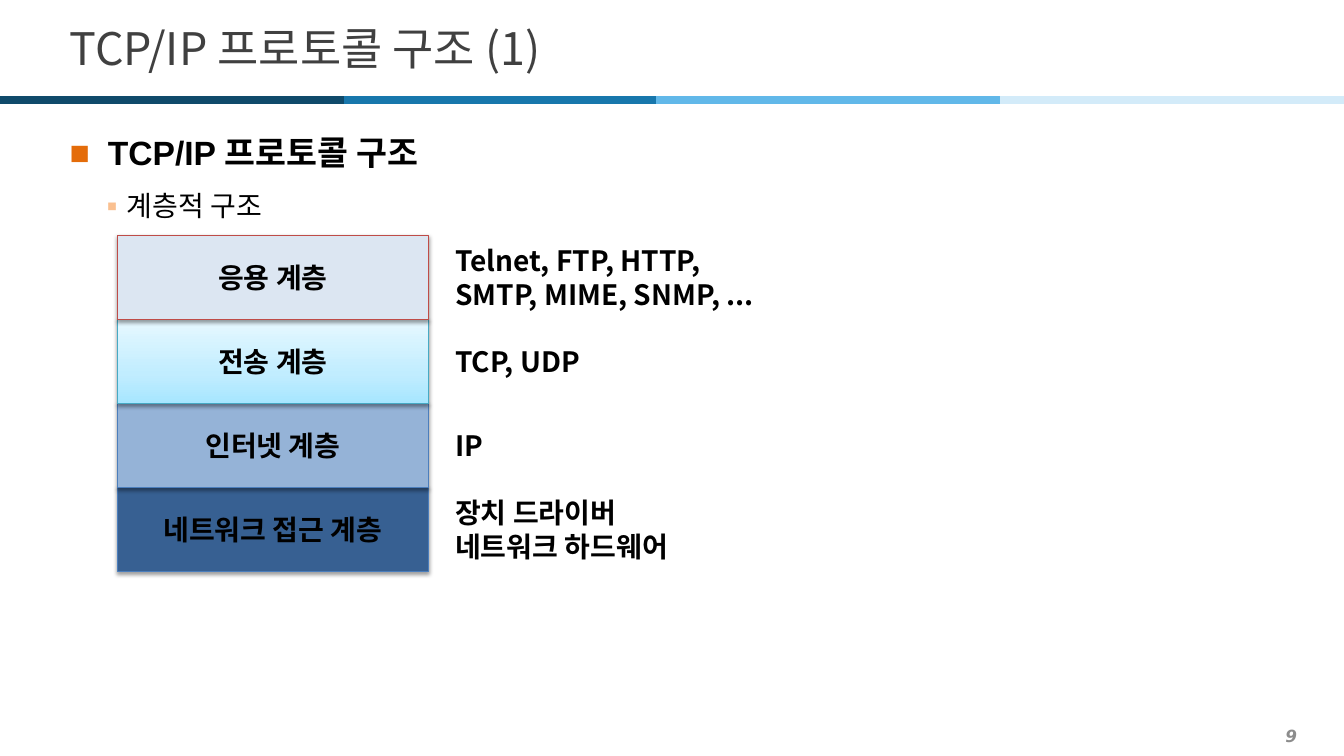
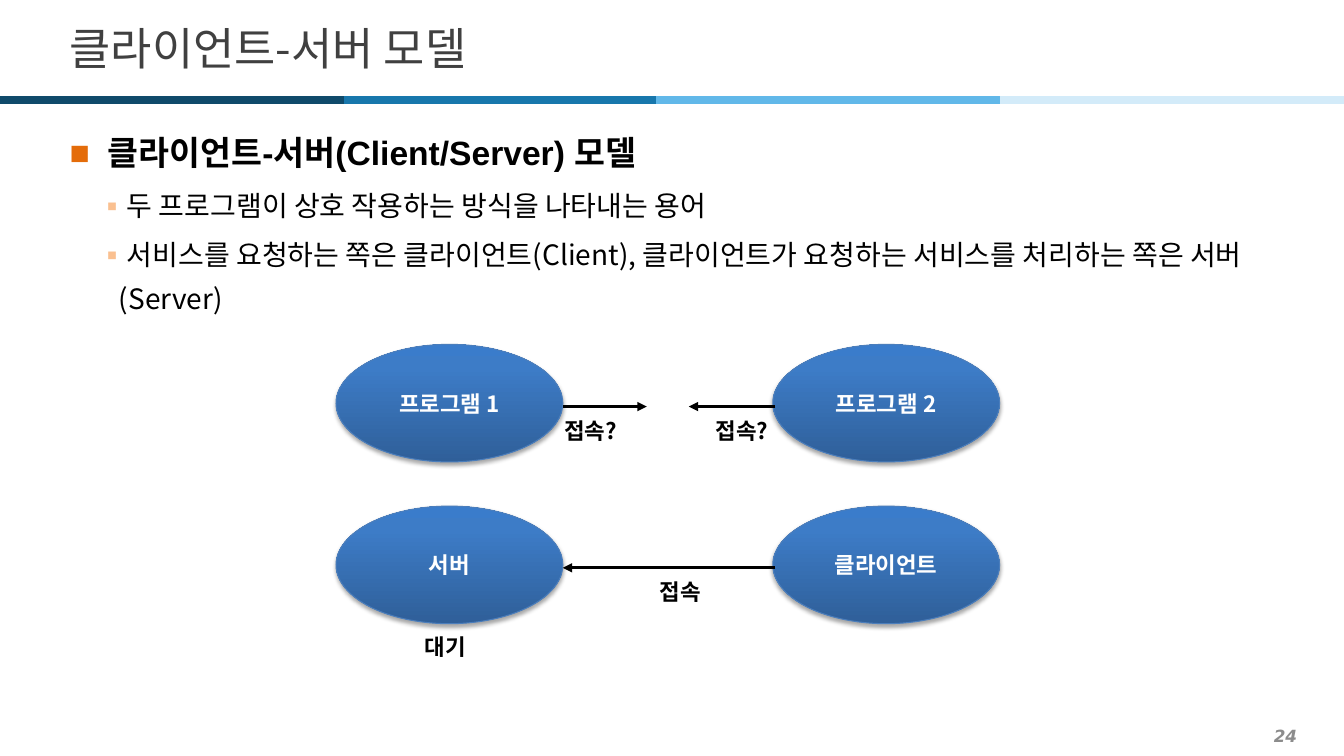
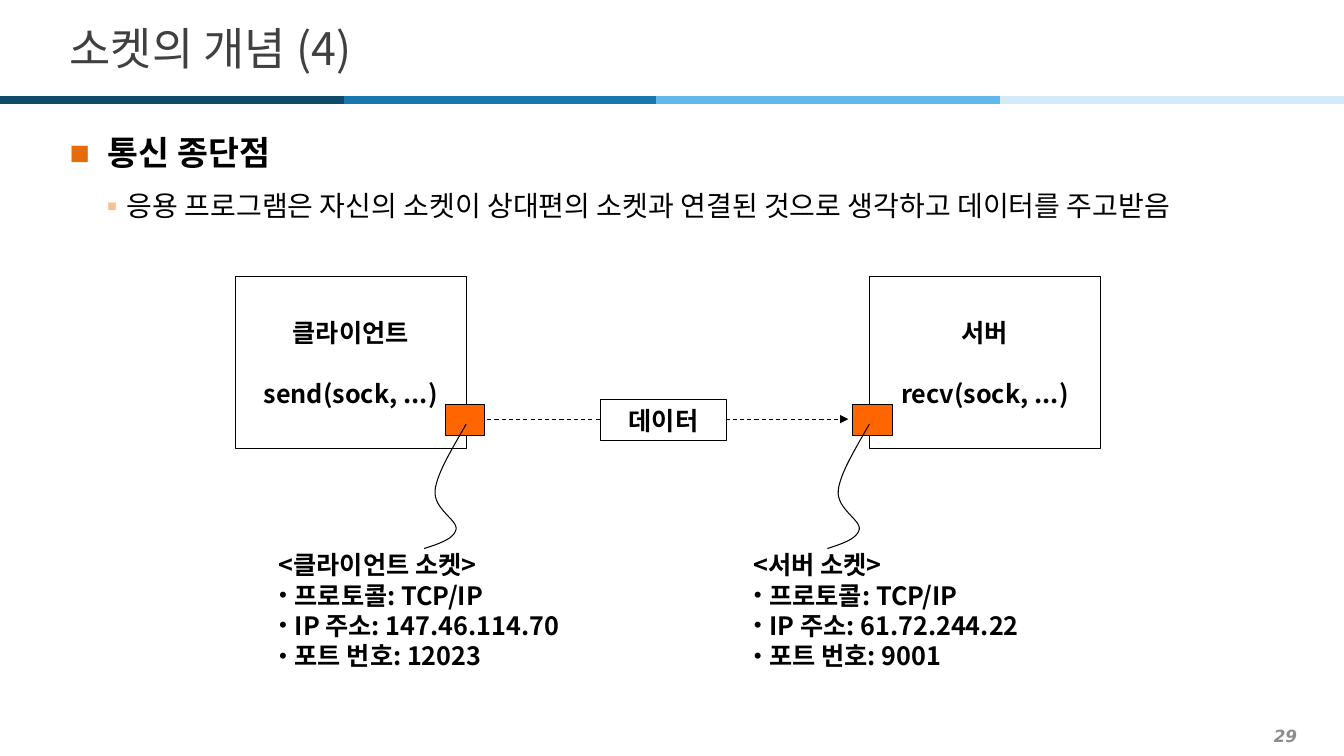
from dataclasses import dataclass
from lxml.etree import SubElement
from pptx import Presentation
from pptx.dml.color import RGBColor as RGB
from pptx.enum.dml import MSO_LINE
from pptx.enum.shapes import MSO_CONNECTOR, MSO_SHAPE
from pptx.enum.text import MSO_ANCHOR as ANCHOR, PP_ALIGN as ALIGN
from pptx.oxml.ns import qn
from pptx.util import Inches, Pt

COLS, ROWS = 160, 90
CELL = Inches(1) / 12


@dataclass(frozen=True)
class Theme:
    font: str = "Noto Sans CJK KR"
    head_font: str = "Arial"
    page_font: str = "DejaVu Sans"
    dot_font: str = "Times New Roman"
    title: int = 32
    head: int = 24
    body: int = 20
    label: int = 18
    small: int = 16
    page: int = 12
    ink: str = "000000"
    paper: str = "FFFFFF"
    title_ink: str = "404040"
    page_ink: str = "8C8C8C"
    edge: str = "4B7EBC"
    socket: str = "FF6600"
    head_bullet: str = "E46C0A"
    item_bullet: str = "FAC090"
    bands: tuple = ("0F4A6B", "1877AC", "61B8E9", "D3EBF9")
    sky: tuple = ((0, "A7E6FF"), (35, "C1EDFF"), (100, "E7F8FF"))
    globe: tuple = ((0, "2F5F99"), (80, "3D7CC7"), (100, "3A7CCB"))


T = Theme()


def cells(*values):
    return [round(v * CELL) for v in values]


def child(parent, tag, **attrs):
    return SubElement(parent, qn(tag), {k: str(v) for k, v in attrs.items()})


def add_bullet(p, char, color, font, indent):
    pPr = p._p.get_or_add_pPr()
    pPr.set("marL", str(Inches(indent[0])))
    pPr.set("indent", str(Inches(indent[1])))
    child(child(pPr, "a:buClr"), "a:srgbClr", val=color)
    child(pPr, "a:buFont", typeface=font)
    child(pPr, "a:buChar", char=char)


def write(tf, *lines, size=T.body, color=T.ink, font=T.font, bold=True, italic=False,
          align=ALIGN.LEFT, spacing=None, before=0, after=0, bullet=None):
    for line in lines:
        p = tf.add_paragraph() if tf.text else tf.paragraphs[0]
        p.alignment = align
        p.line_spacing = spacing
        p.space_before, p.space_after = Pt(before), Pt(after)
        if bullet:
            add_bullet(p, *bullet)
        r = p.add_run()
        r.text = line
        f = r.font
        f.name, f.size, f.bold, f.italic = font, Pt(size), bold, italic
        f.color.rgb = RGB.from_string(color)
        child(r._r.get_or_add_rPr(), "a:ea", typeface=T.font)


def add_text(s, box, *lines, anchor=ANCHOR.MIDDLE, **fmt):
    tf = s.shapes.add_textbox(*cells(*box)).text_frame
    tf.word_wrap = True
    tf.vertical_anchor = anchor
    write(tf, *lines, **fmt)
    return tf


def paint(sp, fill):
    if fill is None:
        sp.fill.background()
    elif isinstance(fill, str):
        sp.fill.solid()
        sp.fill.fore_color.rgb = RGB.from_string(fill)
    else:
        sp.fill.gradient()
        sp.fill.gradient_angle = 90
        stops = sp._element.spPr.find(qn("a:gradFill")).find(qn("a:gsLst"))
        stops.clear()
        for pos, color in fill:
            child(child(stops, "a:gs", pos=pos * 1000), "a:srgbClr", val=color)


def outline(line, color, width):
    line.color.rgb = RGB.from_string(color)
    line.width = Pt(width)


def add_shadow(sp, alpha, dist):
    effects = sp._element.spPr.find(qn("a:effectLst"))
    shadow = child(effects, "a:outerShdw", blurRad=Pt(3.1), dist=Pt(dist),
                   dir=5400000, rotWithShape=0)
    color = child(shadow, "a:srgbClr", val=T.ink)
    child(color, "a:alpha", val=alpha * 1000)


def add_box(s, box, *lines, kind=MSO_SHAPE.RECTANGLE, fill=None, edge=T.ink,
            shadow=None, **fmt):
    sp = s.shapes.add_shape(kind, *cells(*box))
    sp.shadow.inherit = False
    paint(sp, fill)
    outline(sp.line, edge, 0.75)
    if shadow:
        add_shadow(sp, *shadow)
    tf = sp.text_frame
    tf.vertical_anchor = ANCHOR.MIDDLE
    write(tf, *lines, align=ALIGN.CENTER, **fmt)
    return tf


def add_line(s, x1, x2, y, color=T.ink, width=0.75, arrow=False, dash=None):
    c = s.shapes.add_connector(MSO_CONNECTOR.STRAIGHT, *cells(x1, y, x2, y))
    outline(c.line, color, width)
    if dash:
        c.line.dash_style = dash
    if arrow:
        child(c.line._get_or_add_ln(), "a:tailEnd", type="triangle")
    child(c._element.spPr, "a:effectLst")


def bezier(p0, p1, p2, p3, steps=16):
    for i in range(1, steps + 1):
        t = i / steps
        u = 1 - t
        yield tuple(u**3 * a + 3 * u * u * t * b + 3 * u * t * t * c + t**3 * d
                    for a, b, c, d in zip(p0, p1, p2, p3))


def add_tail(s, x, y):
    knots = [(0, 0), (-1.7, 3), (-3.5, 5.9), (-3.7, 7.9), (-3.9, 10.1),
             (-1, 11.4), (-1.2, 12.5), (-1.4, 13.6), (-3.1, 14.2), (-5, 14.8)]
    knots = [(x + dx, y + dy) for dx, dy in knots]
    points = [pt for i in (0, 3, 6) for pt in bezier(*knots[i:i + 4])]
    fb = s.shapes.build_freeform(*cells(*knots[0]))
    fb.add_line_segments([cells(*pt) for pt in points], close=False)
    sp = fb.convert_to_shape()
    sp.shadow.inherit = False
    sp.fill.background()
    outline(sp.line, T.ink, 0.75)


def add_page(prs, number, title, head, *items):
    s = prs.slides.add_slide(prs.slide_layouts[6])
    edges = (0, 40.9, 78.1, 119, COLS)
    for color, x1, x2 in zip(T.bands, edges, edges[1:]):
        add_line(s, x1, x2, 11.9, color, 6)
    add_text(s, (2.4, 85.7, 153.2, 3.7), str(number), size=T.page, color=T.page_ink,
             font=T.page_font, italic=True, align=ALIGN.RIGHT)
    add_text(s, (7.1, 1.6, 146.5, 8.2), title, size=T.title, color=T.title_ink, bold=False)
    tf = add_text(s, (7.1, 14.2, 146.5, 72.4), head, anchor=ANCHOR.TOP, size=T.head,
                  font=T.head_font, spacing=1.2, after=2,
                  bullet=("■", T.head_bullet, T.head_font, (0.38, -0.38)))
    write(tf, *items, bold=False, spacing=1.3, before=2, after=2,
          bullet=("▪", T.item_bullet, T.font, (0.49, -0.2)))
    return s


def layers_slide(prs):
    s = add_page(prs, 9, "TCP/IP 프로토콜 구조 (1)", "TCP/IP 프로토콜 구조", "계층적 구조")
    layers = [
        ("응용 계층", "DCE6F2", "BF4C48", ["Telnet, FTP, HTTP,", "SMTP, MIME, SNMP, ..."]),
        ("전송 계층", T.sky, "46AAC5", ["TCP, UDP"]),
        ("인터넷 계층", "95B3D7", T.edge, ["IP"]),
        ("네트워크 접근 계층", "376092", T.edge, ["장치 드라이버", "네트워크 하드웨어"]),
    ]
    for i, (name, fill, edge, examples) in reversed(list(enumerate(layers))):
        y = 28 + 10 * i
        add_box(s, (14, y, 37, 10), name, fill=fill, edge=edge, shadow=(38, 1.6))
        add_text(s, (53, y, 40, 10), *examples)


def model_slide(prs):
    s = add_page(prs, 24, "클라이언트-서버 모델", "클라이언트-서버(Client/Server) 모델",
                 "두 프로그램이 상호 작용하는 방식을 나타내는 용어",
                 "서비스를 요청하는 쪽은 클라이언트(Client), 클라이언트가 요청하는 서비스를 처리하는 쪽은 서버(Server)")
    pairs = [(41, ("프로그램 1", "프로그램 2")), (60.25, ("서버", "클라이언트"))]
    for y, names in pairs:
        for x, name in zip((40, 92), names):
            add_box(s, (x, y, 27, 14), name, kind=MSO_SHAPE.OVAL, fill=T.globe,
                    edge=T.edge, shadow=(35, 1.8), size=T.small, color=T.paper)
    for x1, x2, y in ((67, 77, 48.4), (92.3, 82, 48.4), (92.3, 67, 67.6)):
        add_line(s, x1, x2, y, width=2.25, arrow=True)
    labels = [(66, 49.2, "접속?", ALIGN.LEFT), (84, 49.2, "접속?", ALIGN.LEFT),
              (48, 74.9, "대기", ALIGN.CENTER), (76, 68.4, "접속", ALIGN.CENTER)]
    for x, y, label, align in labels:
        add_text(s, (x, y, 10, 4.1), label, size=T.small, align=align)


def socket_slide(prs):
    s = add_page(prs, 29, "소켓의 개념 (4)", "통신 종단점",
                 "응용 프로그램은 자신의 소켓이 상대편의 소켓과 연결된 것으로 생각하고 데이터를 주고받음")
    ends = [
        (28, 53, 55.5, 32, "클라이언트", "send(sock, ...)", "147.46.114.70", 12023),
        (103.5, 101.5, 103.5, 88.5, "서버", "recv(sock, ...)", "61.72.244.22", 9001),
    ]
    for x, _, _, _, name, call, _, _ in ends:
        tf = add_box(s, (x, 32.9, 27.5, 20.5), name, size=T.label)
        write(tf, call, size=T.label, align=ALIGN.CENTER, before=22)
    add_line(s, 58, 101, 49.9, arrow=True, dash=MSO_LINE.DASH)
    add_box(s, (71.5, 47.6, 15, 4.9), "데이터", fill=T.paper, size=T.label)
    for _, socket_x, tail_x, info_x, name, _, address, port in ends:
        add_box(s, (socket_x, 48.15, 4.7, 3.7), fill=T.socket)
        add_tail(s, tail_x, 50.5)
        tf = add_text(s, (info_x, 64.3, 42.5, 16.7), f"<{name} 소켓>", size=T.label)
        write(tf, "프로토콜: TCP/IP", f"IP 주소: {address}", f"포트 번호: {port}",
              size=T.label, bullet=("•", T.ink, T.dot_font, (0.16, -0.16)))


def main():
    prs = Presentation()
    prs.slide_width, prs.slide_height = cells(COLS, ROWS)
    layers_slide(prs)
    model_slide(prs)
    socket_slide(prs)
    prs.save("out.pptx")


if __name__ == "__main__":
    main()
